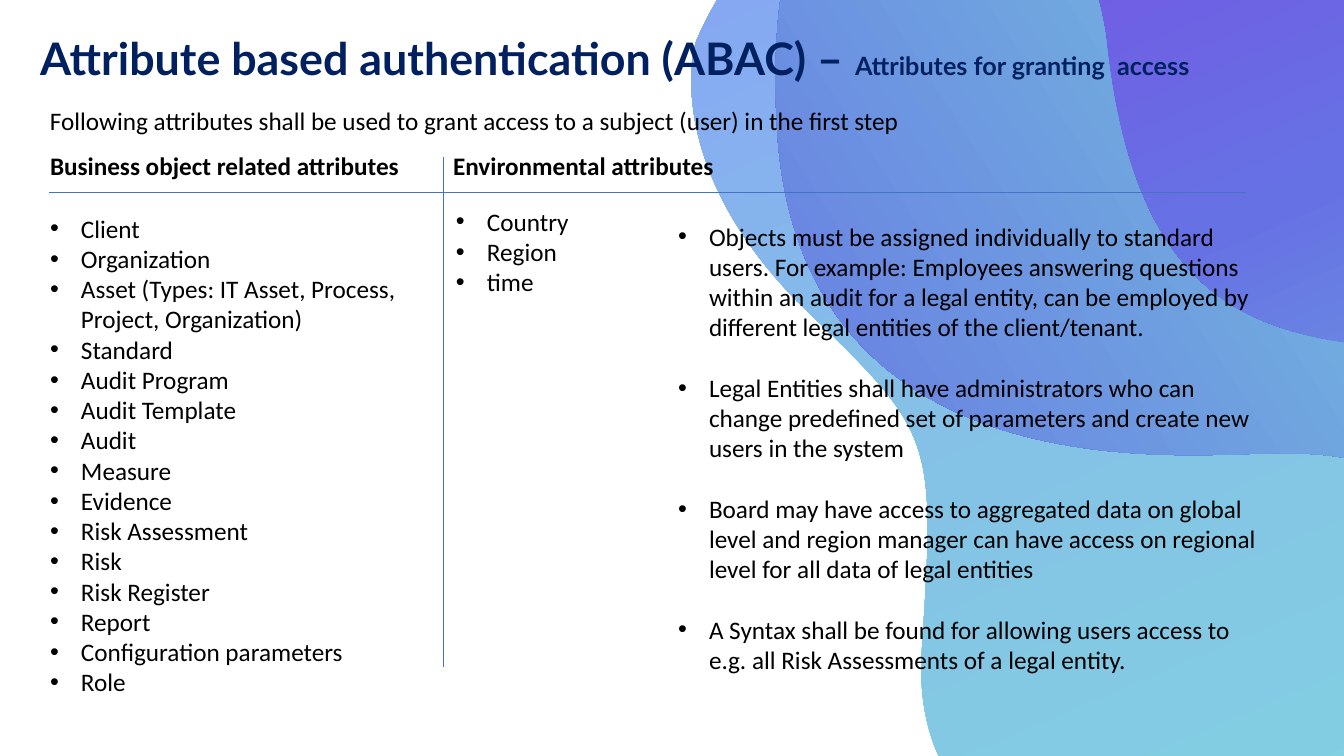
import copy
import math

import pptx
import pptx.dml.color
import pptx.enum.shapes
import pptx.enum.text
import pptx.oxml
import pptx.oxml.ns
import pptx.util

PX = 914400 / 100.8
NAVY, BLACK, BLUE = "002060", "000000", "4472C4"
INDENT = 31
BLOB_TURN = 157

# Each blob: centre, start, cubic curves (two controls and an end), stops, angle
BLOBS = [
    ((1210, 354), (1124, 74), [
        (1175, 526, 1497, 283, 1675, 466), (1854, 648, 1790, 784, 1737, 813),
        (1688, 842, 1637, 840, 1582, 760), (1526, 679, 1358, 769, 1243, 830),
        (1127, 889, 907, 866, 921, 650), (935, 434, 934, 435, 796, 302),
        (658, 160, 695, 43, 695, 43), (695, 43, 769, -149, 939, -132),
        (1110, -115, 1124, 74, 1124, 74),
    ], [(0, "80DEDE"), (0.54, "85C1E7"), (1, "878CFF")], 270),
    ((1236, 247), (933, -222), [
        (933, -222, 756, -194, 779, 134), (802, 462, 1121, 457, 1235, 454),
        (1349, 450, 1378, 453, 1469, 522), (1559, 592, 1621, 728, 1737, 597),
        (1853, 466, 1634, 328, 1604, 270), (1573, 212, 1628, 67, 1579, 10),
        (1527, -46, 1492, -115, 1254, -95), (1254, -95, 1137, -55, 1047, -180),
        (1047, -180, 991, -249, 933, -222),
    ], [(0, "7CEFD8"), (0.51, "6672E4"), (1, "882BE5")], 270),
    ((1188, 305), (779, 134), [
        (769, -14, 799, -102, 837, -152), (862, -161, 891, -165, 922, -162),
        (1094, -145, 1108, 43, 1108, 43), (1158, 496, 1480, 253, 1659, 436),
        (1707, 485, 1738, 530, 1755, 572), (1751, 580, 1744, 589, 1737, 597),
        (1621, 727, 1559, 592, 1469, 522), (1378, 453, 1349, 450, 1235, 454),
        (1121, 457, 802, 462, 779, 134),
    ], [(0, "882BE5"), (0.19, "6672E4"), (1, "7CEFD8")], 190),
]

TITLE = [("Attribute based authentication (ABAC) – ", 32),
         ("Attributes for granting  access", 18)]
INTRO = ("Following attributes shall be used to grant access to a subject "
         "(user) in the first step")
BUSINESS = [
    "Client", "Organization",
    "Asset (Types: IT Asset, Process, Project, Organization)",
    "Standard", "Audit Program", "Audit Template", "Audit", "Measure",
    "Evidence", "Risk Assessment", "Risk", "Risk Register", "Report",
    "Configuration parameters", "Role",
]
ENVIRONMENT = ["Country", "Region", "time"]
RULES = [
    "Objects must be assigned individually to standard users. For example: "
    "Employees answering questions within an audit for a legal entity, can be "
    "employed by different legal entities of the client/tenant.",
    "Legal Entities shall have administrators who can change predefined set "
    "of parameters and create new users in the system",
    "Board may have access to aggregated data on global level and region "
    "manager can have access on regional level for all data of legal entities",
    "A Syntax shall be found for allowing users access to e.g. all Risk "
    "Assessments of a legal entity.",
]


def emu(px):
    """Turn pixels into EMU."""
    return pptx.util.Emu(round(px * PX))


def rgb(value):
    """Turn a hex string into a colour."""
    return pptx.dml.color.RGBColor.from_string(value)


def style(r, size, font="Calibri", color=BLACK, bold=False):
    """Format one run."""
    r.font.size = pptx.util.Pt(size)
    r.font.name = font
    r.font.bold = bold
    r.font.color.rgb = rgb(color)


def place(sp, box, inset=True):
    """Move a text shape to a pixel box and set up its frame."""
    sp.left, sp.top, sp.width, sp.height = map(emu, box)
    tf = sp.text_frame
    tf.word_wrap = True
    tf.auto_size = pptx.enum.text.MSO_AUTO_SIZE.NONE
    tf.vertical_anchor = pptx.enum.text.MSO_ANCHOR.TOP
    tf.margin_left = tf.margin_right = emu(10 if inset else 0)
    tf.margin_top = tf.margin_bottom = emu(5 if inset else 0)
    return tf


def set_bullet(p):
    """Give a paragraph a round bullet with a hanging indent."""
    pPr = p._p.get_or_add_pPr()
    pPr.set("marL", str(emu(INDENT)))
    pPr.set("indent", str(-emu(INDENT)))
    for tag, key, value in (("a:buFont", "typeface", "Arial"),
                            ("a:buChar", "char", "•")):
        pPr.append(pPr.makeelement(pptx.oxml.ns.qn(tag), {key: value}))


def fill_text(sp, box, lines, bold=False, bullets=False, gap=0):
    """Write 18 pt paragraphs into a placed shape."""
    tf = place(sp, box)
    tf.text = "\n".join(lines)
    for p in tf.paragraphs:
        p.alignment = pptx.enum.text.PP_ALIGN.LEFT
        p.space_before = pptx.util.Pt(0)
        p.space_after = pptx.util.Pt(gap)
        style(p.runs[0], 18, bold=bold)
        if bullets:
            set_bullet(p)


def fill_title(sp, box):
    """Write the title with its smaller second part."""
    p = place(sp, box, inset=False).paragraphs[0]
    p.alignment = pptx.enum.text.PP_ALIGN.LEFT
    p.line_spacing = pptx.util.Pt(40)
    for text, size in TITLE:
        r = p.add_run()
        r.text = text
        style(r, size, "Lato", NAVY, True)


def turn_back(point, centre):
    """Undo the blob rotation of a pixel point and give it in EMU."""
    cos = math.cos(math.radians(BLOB_TURN))
    sin = math.sin(math.radians(BLOB_TURN))
    dx, dy = point[0] - centre[0], point[1] - centre[1]
    return (emu(centre[0] + dx * cos + dy * sin),
            emu(centre[1] - dx * sin + dy * cos))


def bend(sp):
    """Turn every three line segments of a freeform into one cubic curve."""
    qn = pptx.oxml.ns.qn
    lines = list(sp._element.spPr.iter(qn("a:lnTo")))
    for i in range(0, len(lines), 3):
        curve = lines[i].makeelement(qn("a:cubicBezTo"), {})
        lines[i].addprevious(curve)
        for line in lines[i:i + 3]:
            curve.append(line[0])
            line.getparent().remove(line)


def add_blob(s, centre, start, curves, stops, angle):
    """Draw a closed, turned, curved outline with a three-colour gradient."""
    builder = s.shapes.build_freeform(*turn_back(start, centre))
    points = [turn_back(curve[i:i + 2], centre)
              for curve in curves for i in (0, 2, 4)]
    builder.add_line_segments(points, close=True)
    sp = builder.convert_to_shape()
    bend(sp)
    sp.rotation = BLOB_TURN
    sp.shadow.inherit = False
    sp.line.fill.background()
    sp.fill.gradient()
    gs_list = sp._element.spPr.find(".//" + pptx.oxml.ns.qn("a:gsLst"))
    gs_list.append(copy.deepcopy(gs_list[0]))
    for stop, (position, color) in zip(sp.fill.gradient_stops, stops):
        stop.position = position
        stop.color.rgb = rgb(color)
    sp.fill.gradient_angle = angle
    return sp


def add_rule(s, x1, y1, x2, y2):
    """Draw a thin straight line."""
    line = s.shapes.add_connector(pptx.enum.shapes.MSO_CONNECTOR.STRAIGHT,
                                  *map(emu, (x1, y1, x2, y2)))
    line.line.color.rgb = rgb(BLUE)
    line.line.width = pptx.util.Pt(0.5)
    spPr = line._element.spPr
    spPr.append(spPr.makeelement(pptx.oxml.ns.qn("a:effectLst"), {}))


def main():
    """Build the slide and save it."""
    prs = pptx.Presentation()
    prs.slide_width, prs.slide_height = emu(1344), emu(756)
    s = prs.slides.add_slide(prs.slide_layouts.get_by_name("Comparison"))
    title, head_l, list_l, head_r, list_r = list(s.placeholders)[:5]

    for i, blob in enumerate(BLOBS):
        sp = add_blob(s, *blob)
        s.shapes._spTree.insert(2 + i, sp._element)

    fill_title(title, (40, 28, 1233, 44))
    intro = s.shapes.add_textbox(0, 0, 0, 0)
    fill_text(intro, (40, 100, 958, 40), [INTRO])
    fill_text(head_l, (40, 145, 385, 40),
              ["Business object related attributes"], bold=True)
    fill_text(list_l, (40, 208, 403, 591), BUSINESS, bullets=True)
    add_rule(s, 49, 192, 1246, 192)
    add_rule(s, 443, 157, 443, 667)
    fill_text(head_r, (443, 145, 385, 40),
              ["Environmental attributes"], bold=True)
    fill_text(list_r, (446, 201, 403, 102), ENVIRONMENT, bullets=True)
    rules = s.shapes.add_textbox(0, 0, 0, 0)
    fill_text(rules, (668, 216, 603, 468), RULES, bullets=True, gap=21.6)
    prs.save("out.pptx")


main()
